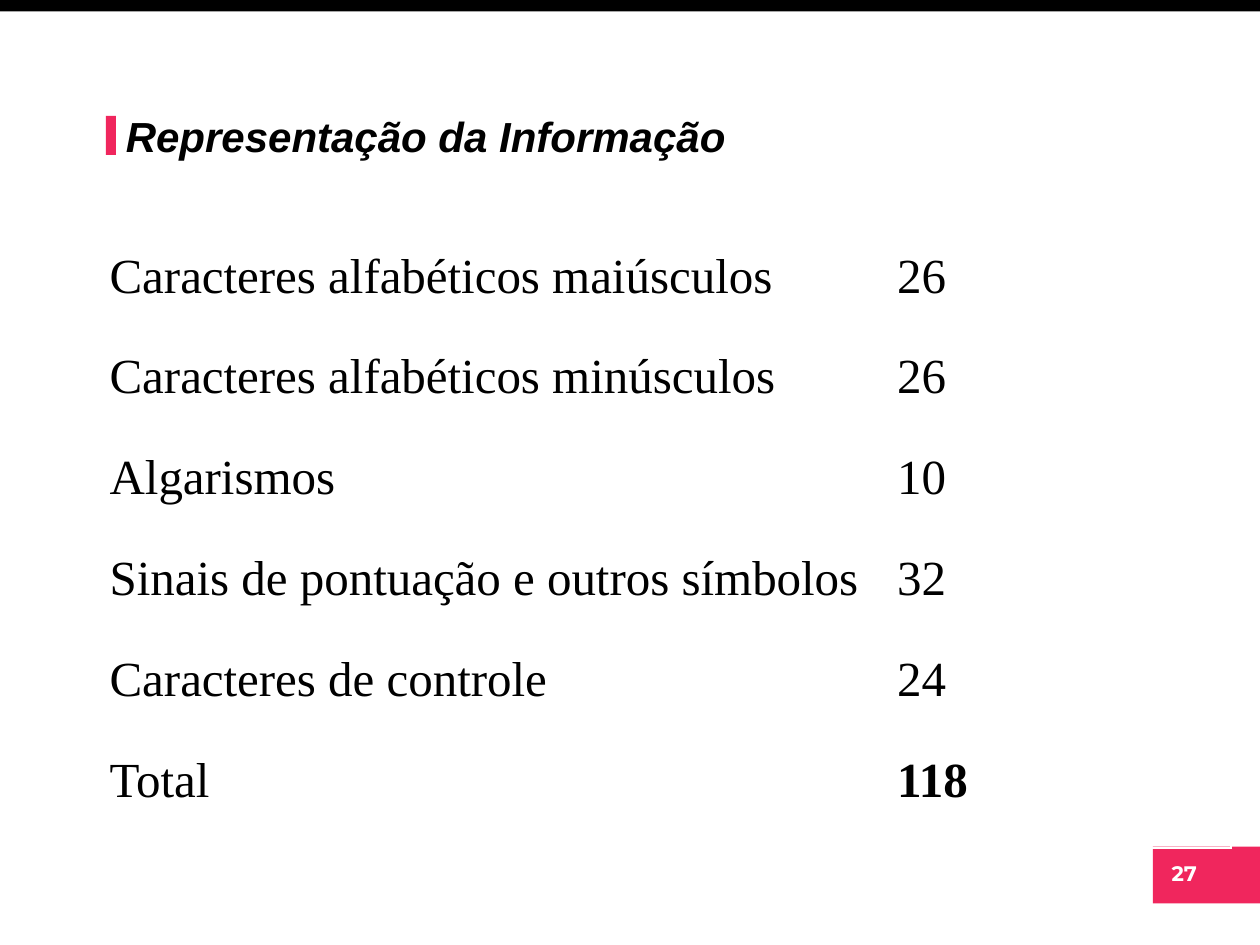
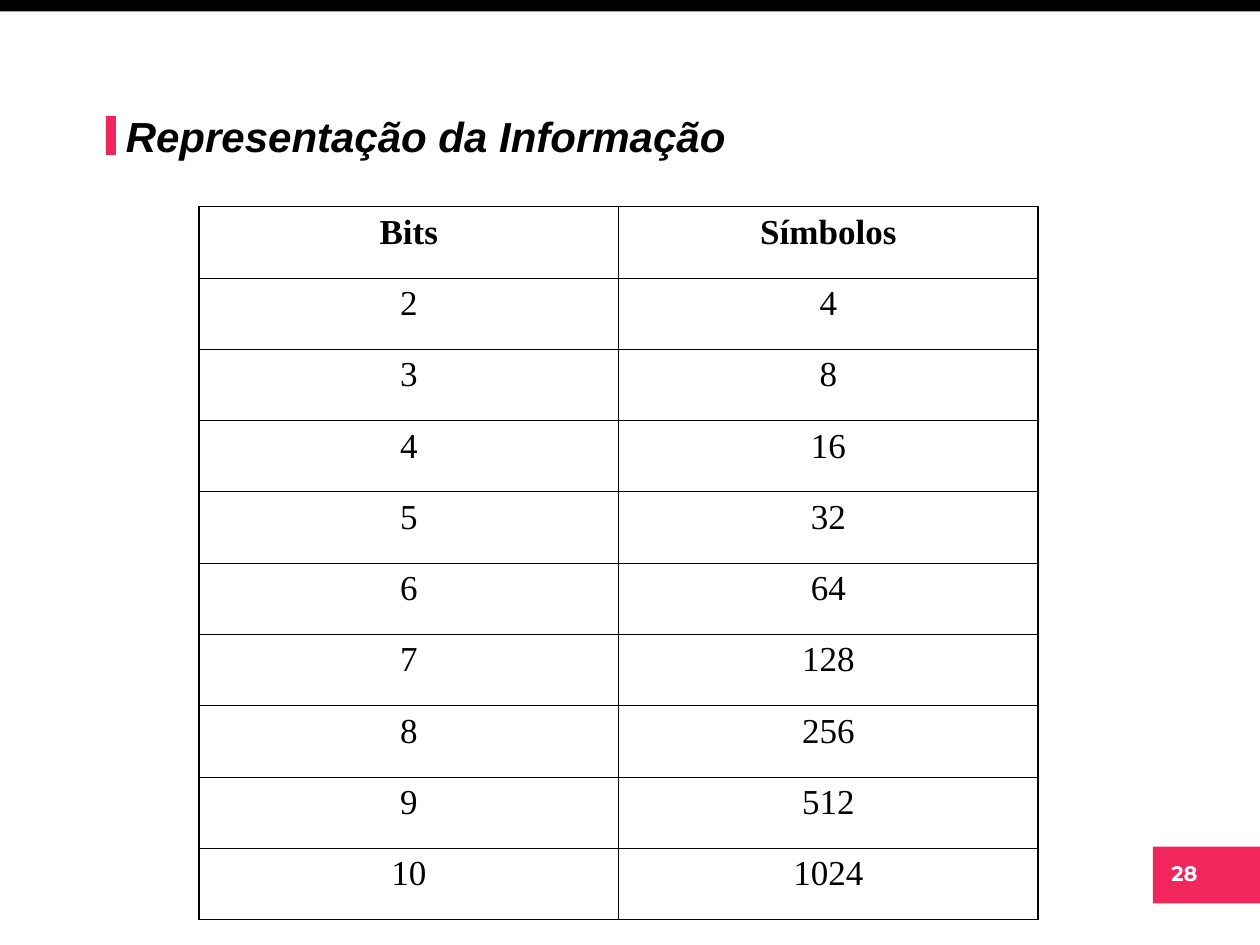
"""Build two slides on representing information: character counts and symbols per bit."""
from dataclasses import dataclass

from lxml.etree import SubElement
from pptx import Presentation
from pptx.dml.color import RGBColor
from pptx.enum.shapes import MSO_SHAPE
from pptx.enum.text import MSO_ANCHOR, PP_ALIGN
from pptx.oxml.ns import qn
from pptx.util import Inches, Pt


@dataclass(frozen=True)
class Theme:
    black: str = "000000"
    white: str = "FFFFFF"
    pink: str = "F0265D"
    head: str = "Arial"
    body: str = "Times New Roman"
    badge: str = "Montserrat"
    title: int = 24
    large: int = 28
    cell: int = 20
    page: int = 12
    thin: float = 0.45
    thick: float = 1.08


theme = Theme()


def write(frame, text, size, face=theme.body, color=theme.black,
          bold=False, slant=False, align=PP_ALIGN.LEFT):
    para = frame.paragraphs[0]
    para.alignment = align
    run = para.add_run()
    run.text = text
    font = run.font
    font.size, font.name = Pt(size), face
    font.bold, font.italic = bold, slant
    font.color.rgb = RGBColor.from_string(color)


def grid(slide, place, widths, height, rows):
    left, top = place
    frame = slide.shapes.add_table(
        len(rows), len(widths), Inches(left), Inches(top),
        Inches(sum(widths)), Inches(height * len(rows)))
    table = frame.table
    table.first_row = table.horz_banding = False
    for col, width in zip(table.columns, widths):
        col.width = Inches(width)
    for row in table.rows:
        row.height = Inches(height)
    for cell in table.iter_cells():
        cell.fill.background()
    return table


deck = Presentation()
deck.slide_width, deck.slide_height = Inches(10), Inches(7.5)

bars = [
    (0, 0, 10, 0.09, theme.black),
    (9.15, 6.72, 0.86, 0.45, theme.pink),
    (0.84, 0.92, 0.08, 0.31, theme.pink),
]
slides = []
for page in (27, 28):
    slide = deck.slides.add_slide(deck.slide_layouts[6])
    slides.append(slide)
    for left, top, width, height, color in bars:
        bar = slide.shapes.add_shape(
            MSO_SHAPE.RECTANGLE, Inches(left), Inches(top), Inches(width), Inches(height))
        bar.shadow.inherit = False
        bar.fill.solid()
        bar.fill.fore_color.rgb = RGBColor.from_string(color)
        bar.line.fill.background()

    label = slide.shapes.add_textbox(Inches(8.87), Inches(6.78), Inches(1.06), Inches(0.33))
    write(label.text_frame, str(page), theme.page, face=theme.badge,
          color=theme.white, bold=True, align=PP_ALIGN.CENTER)

    title = slide.shapes.add_textbox(Inches(0.9), Inches(0.47), Inches(8.5), Inches(0.83))
    title.text_frame.word_wrap = True
    title.text_frame.vertical_anchor = MSO_ANCHOR.BOTTOM
    title.text_frame.margin_bottom = Inches(0.02)
    write(title.text_frame, "Representação da Informação", theme.title,
          face=theme.head, bold=True, slant=True)

counts = [
    ("Caracteres alfabéticos maiúsculos", 26),
    ("Caracteres alfabéticos minúsculos", 26),
    ("Algarismos", 10),
    ("Sinais de pontuação e outros símbolos", 32),
    ("Caracteres de controle", 24),
]
counts.append(("Total", sum(count for name, count in counts)))
table = grid(slides[0], (0.77, 1.93), (6.25, 2.75), 0.8, counts)
for r, (name, count) in enumerate(counts):
    write(table.cell(r, 0).text_frame, name, theme.large)
    write(table.cell(r, 1).text_frame, str(count), theme.large, bold=name == "Total")

powers = [("Bits", "Símbolos")] + [(n, 2 ** n) for n in range(2, 11)]
table = grid(slides[1], (1.58, 1.64), (3.33, 3.33), 0.566, powers)
last = len(powers) - 1
for r, row in enumerate(powers):
    for c, value in enumerate(row):
        cell = table.cell(r, c)
        write(cell.text_frame, str(value), theme.cell, bold=r == 0, align=PP_ALIGN.CENTER)
        edges = {"lnL": c == 0, "lnR": c == 1, "lnT": r == 0 and c == 1, "lnB": r == last}
        props = cell._tc.get_or_add_tcPr()
        for spot, (tag, outer) in enumerate(edges.items()):
            line = SubElement(props, qn(f"a:{tag}"))
            line.set("w", str(Pt(theme.thick if outer else theme.thin)))
            fill = SubElement(line, qn("a:solidFill"))
            SubElement(fill, qn("a:srgbClr")).set("val", theme.black)
            props.insert(spot, line)

deck.save("out.pptx")
